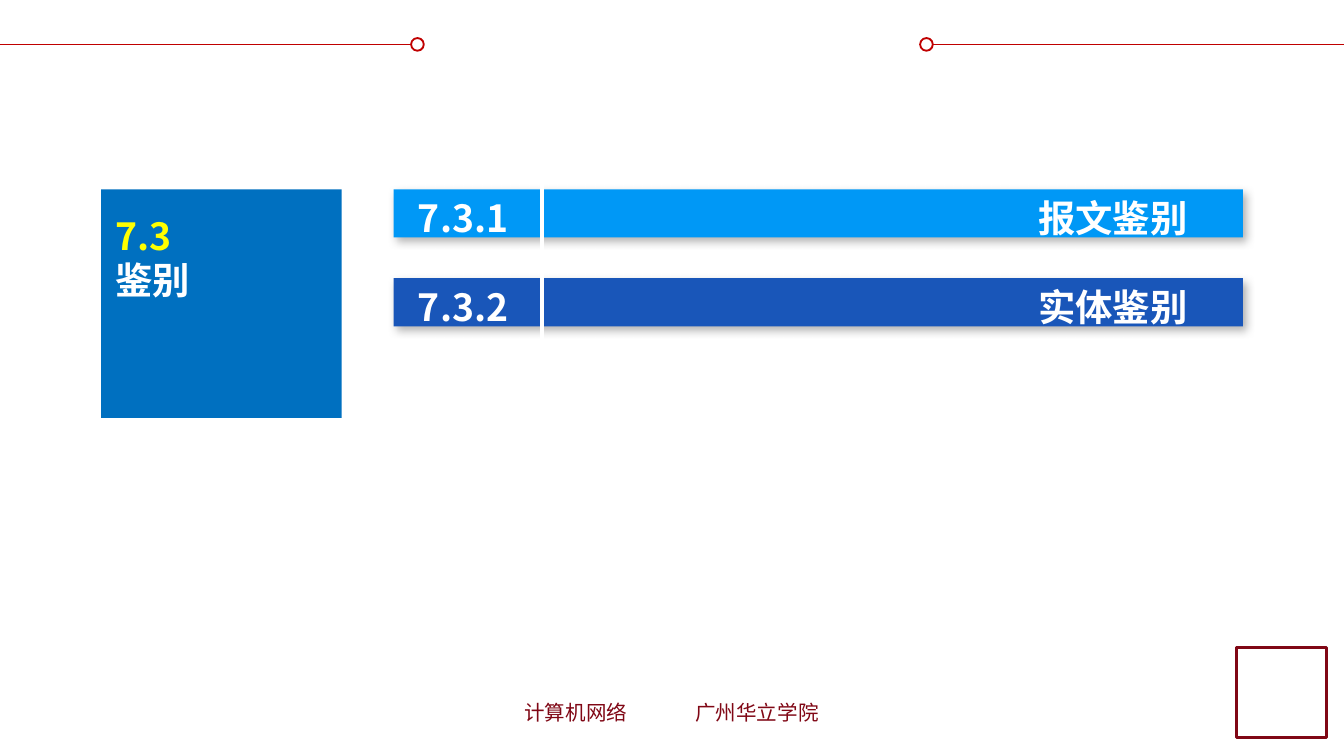
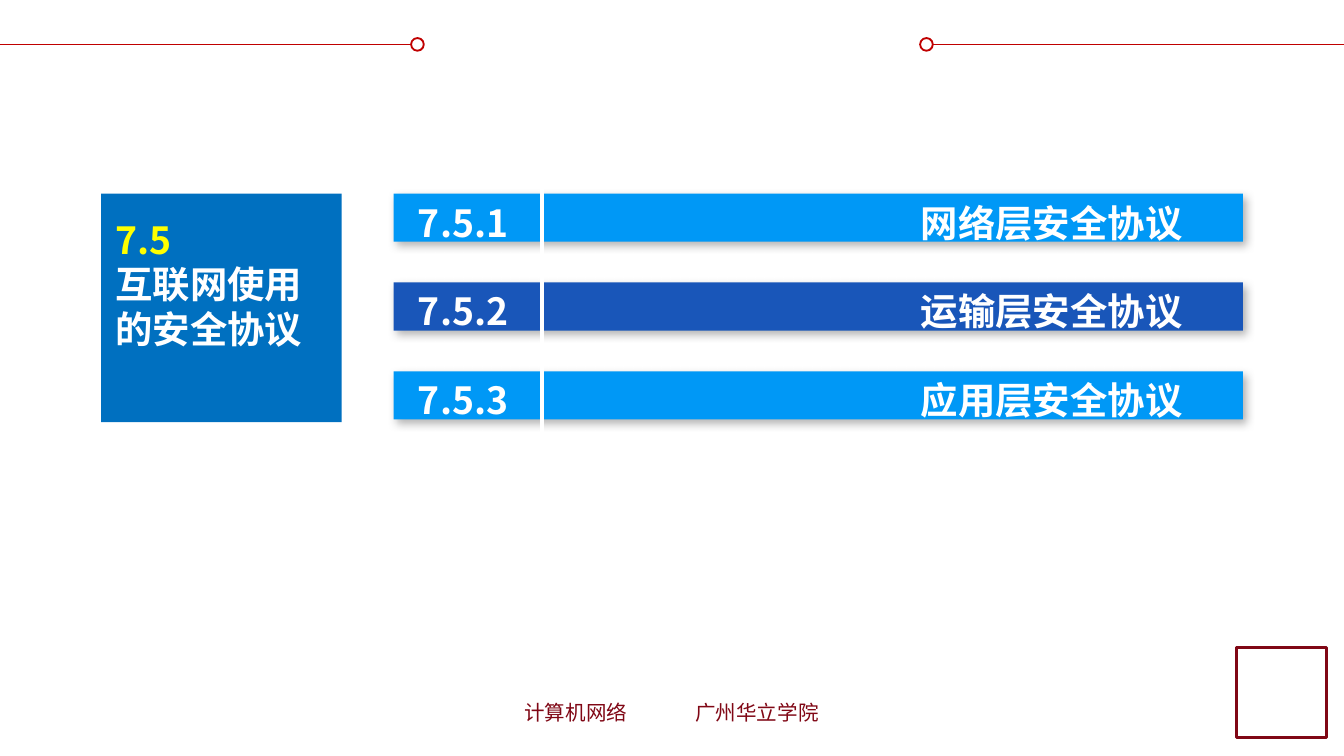
from dataclasses import dataclass

from lxml.etree import SubElement
from pptx import Presentation
from pptx.dml.color import RGBColor
from pptx.enum.shapes import MSO_CONNECTOR as Connector, MSO_SHAPE as Preset
from pptx.oxml.ns import qn
from pptx.util import Cm, Pt

FOOTER = ("计算机网络", "广州华立学院")
# top: upper edge of the block and first bar; rule_end: lower end of the divider
SECTIONS = [
    {"number": "7.3", "title": "鉴别", "top": 3.58, "rule_end": 7.16,
     "topics": ["报文鉴别", "实体鉴别"], "title_end": 14.55},
    {"number": "7.5", "title": "互联网使用的安全协议", "top": 3.66, "rule_end": 8.41,
     "topics": ["网络层安全协议", "运输层安全协议", "应用层安全协议"], "title_end": 14.45},
]


@dataclass(frozen=True)
class Theme:
    font: str = "Noto Sans CJK SC"
    white: str = "FFFFFF"
    accent: str = "C00000"
    footer: str = "800715"
    number: str = "FFFF00"
    block: str = "0070C0"
    bars: tuple = ("0098F6", "1956B9")
    heading_size: int = 20
    footer_size: int = 11
    line_height: float = 1.19


THEME = Theme()
WIDTH, HEIGHT = 25.4, 14.29
BAR_LEFT, BAR_WIDTH, BAR_HEIGHT, BAR_PITCH = 7.44, 16.05, 0.91, 1.68
DOT, DOT_LEFT, LINE_Y = 0.24, 7.77, 0.84


def rgb(code):
    return RGBColor.from_string(code)


def add_box(slide, preset, left, top, width, height, fill, line=None, weight=1):
    box = slide.shapes.add_shape(preset, Cm(left), Cm(top), Cm(width), Cm(height))
    box.shadow.inherit = False
    box.fill.solid()
    box.fill.fore_color.rgb = rgb(fill)
    if line:
        box.line.color.rgb = rgb(line)
        box.line.width = Pt(weight)
    else:
        box.line.fill.background()
    return box


def add_line(slide, x1, y1, x2, y2, color, weight):
    line = slide.shapes.add_connector(Connector.STRAIGHT, Cm(x1), Cm(y1), Cm(x2), Cm(y2))
    line.line.color.rgb = rgb(color)
    line.line.width = Pt(weight)
    SubElement(line._element.spPr, qn("a:effectLst"))


def cast_shadow(box):
    effects = box._element.spPr.find(qn("a:effectLst"))
    shadow = SubElement(effects, qn("a:outerShdw"), blurRad=str(Pt(4.5)),
                        dist=str(Pt(2.6)), dir=str(53 * 60000), algn="tl", rotWithShape="0")
    color = SubElement(shadow, qn("a:srgbClr"), val="000000")
    SubElement(color, qn("a:alpha"), val="30000")


def add_text(slide, left, top, width, height, lines, size, bold=False,
             gap=0, tab=None, inset=0.25):
    """Write (text, colour) lines; gap is in points, tab is (position in cm, alignment)."""
    box = slide.shapes.add_textbox(Cm(left), Cm(top), Cm(width), Cm(height))
    frame = box.text_frame
    frame.word_wrap = True
    frame.margin_left = Cm(inset)
    for index, (text, color) in enumerate(lines):
        paragraph = frame.add_paragraph() if index else frame.paragraphs[0]
        paragraph.line_spacing = Pt(size * THEME.line_height)
        if index and gap:
            paragraph.space_before = Pt(gap)
        if tab:
            stops = SubElement(paragraph._p.get_or_add_pPr(), qn("a:tabLst"))
            SubElement(stops, qn("a:tab"), pos=str(Cm(tab[0])), algn=tab[1])
        run = paragraph.add_run()
        run.text = text
        for name, value in {"name": THEME.font, "size": Pt(size), "bold": bold}.items():
            setattr(run.font, name, value)
        run.font.color.rgb = rgb(color)
        SubElement(run._r.get_or_add_rPr(), qn("a:ea"), typeface=THEME.font)


def add_frame(slide):
    """Draw the header lines, footer and corner square shared by the slides."""
    line_end = DOT_LEFT + DOT
    for start, end, dot_left in ((0, line_end, DOT_LEFT),
                                 (WIDTH - line_end, WIDTH, WIDTH - line_end)):
        add_line(slide, start, LINE_Y, end, LINE_Y, THEME.accent, 1)
        add_box(slide, Preset.OVAL, dot_left, LINE_Y - DOT / 2, DOT, DOT,
                THEME.white, THEME.accent)
    add_text(slide, 9.45, 13.11, 6.53, 0.74, [("\t".join(FOOTER), THEME.footer)],
             THEME.footer_size, tab=(3.23, "l"), inset=0.46)
    add_box(slide, Preset.RECTANGLE, 23.37, 12.24, 1.7, 1.7, THEME.white, THEME.footer, 2)


def add_section(slide, section):
    top, topics = section["top"], section["topics"]
    size = THEME.heading_size
    for index in range(len(topics)):
        cast_shadow(add_box(slide, Preset.RECTANGLE, BAR_LEFT, top + index * BAR_PITCH,
                            BAR_WIDTH, BAR_HEIGHT, THEME.bars[index % len(THEME.bars)]))
    entries = [(f"{section['number']}.{index}\t{topic}", THEME.white)
               for index, topic in enumerate(topics, 1)]
    pitch = Cm(BAR_PITCH).pt
    add_text(slide, 7.65, top, 15.54, BAR_PITCH * len(topics) - 0.55, entries, size, True,
             gap=pitch - size * THEME.line_height, tab=(section["title_end"], "r"))
    add_box(slide, Preset.RECTANGLE, 1.91, top, 4.55, 4.32, THEME.block)
    add_text(slide, 1.93, top + 0.33, 4.52, 2.82,
             [(section["number"], THEME.number), (section["title"], THEME.white)], size, True)
    add_line(slide, 10.24, top - 0.36, 10.24, section["rule_end"], THEME.white, 2.25)


def main():
    deck = Presentation()
    deck.slide_width, deck.slide_height = Cm(WIDTH), Cm(HEIGHT)
    for section in SECTIONS:
        slide = deck.slides.add_slide(deck.slide_layouts[6])
        add_frame(slide)
        add_section(slide, section)
    deck.save("out.pptx")


if __name__ == "__main__":
    main()
